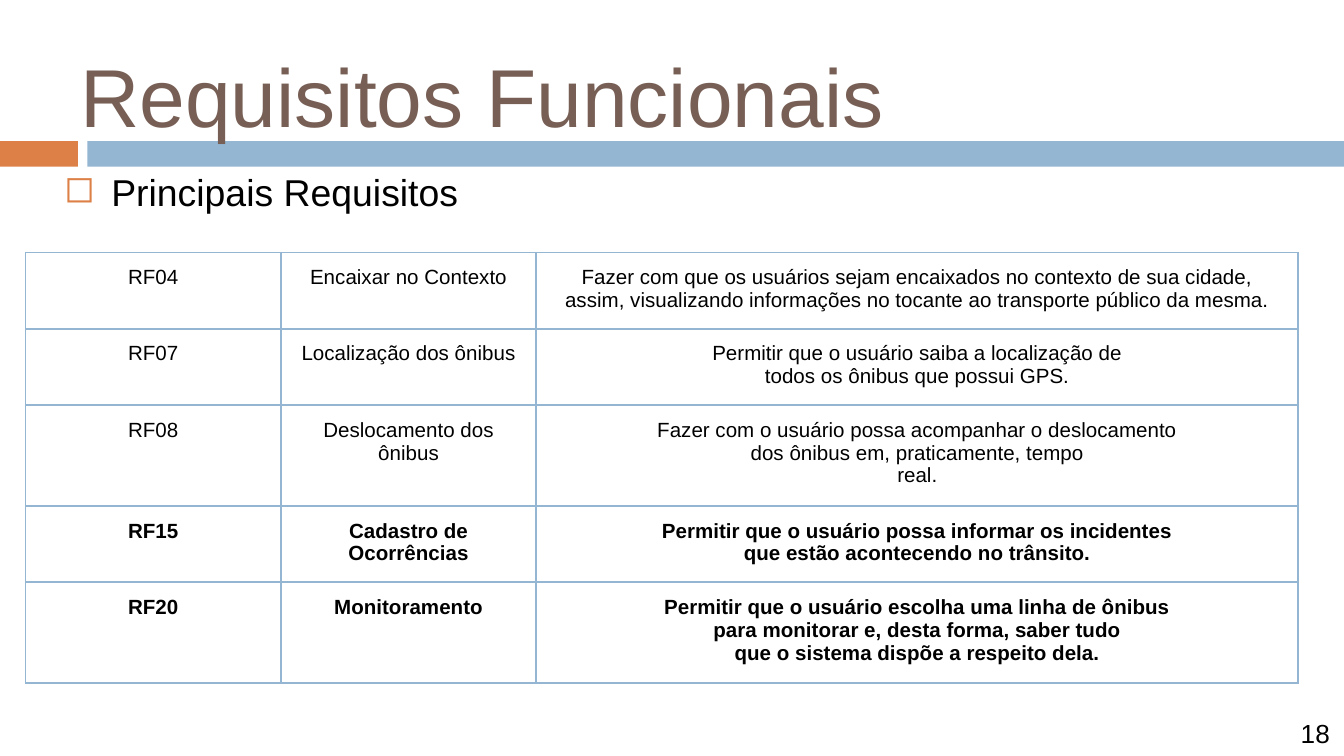
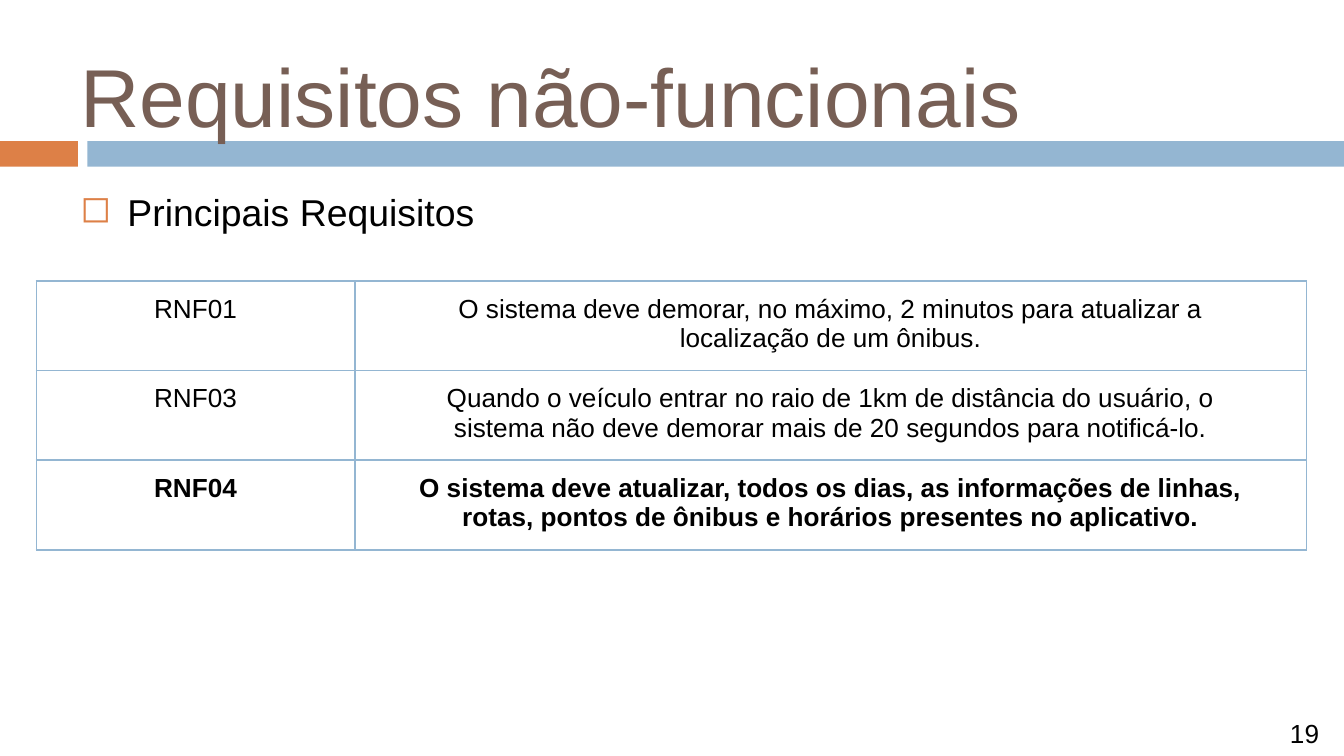
from lxml.etree import SubElement
from pptx import Presentation
from pptx.dml.color import RGBColor
from pptx.enum.shapes import MSO_SHAPE as Shape
from pptx.enum.text import MSO_ANCHOR as Anchor, PP_ALIGN as Align
from pptx.oxml.ns import qn
from pptx.util import Pt

PX = 4572  # 200 px to the inch
SLIDE_W, SLIDE_H = 2000, 1125
INSET = 20
ROW_H = 84
BULLET_INDENT = 70
BORDER_PT = 1

FONT = "Arial"
ORANGE = RGBColor(0xDD, 0x80, 0x47)
BLUE = RGBColor(0x94, 0xB6, 0xD2)
BROWN = RGBColor(0x77, 0x5F, 0x55)
BLACK = RGBColor(0, 0, 0)

BANDS = [((0, 210, 116, 38), ORANGE), ((130, 210, 1870, 38), BLUE)]
TITLE_BOX = (100, 46, 1800, 188)
SUBTITLE = "Principais Requisitos"

# Each line of a cell is a paragraph; rows whose code is in "bold" stand out.
SLIDES = [
    {
        "title": "Requisitos Funcionais",
        "subtitle_at": (76, 232),
        "table_at": (38, 376),
        "columns": [380, 380, 1134],
        "size": 11,
        "rows": [
            ("RF04", "Encaixar no Contexto",
             "Fazer com que os usuários sejam encaixados no contexto de sua cidade, "
             "assim, visualizando informações no tocante ao transporte público da mesma."),
            ("RF07", "Localização dos ônibus",
             "Permitir que o usuário saiba a localização de\n"
             "todos os ônibus que possui GPS."),
            ("RF08", "Deslocamento dos ônibus",
             "Fazer com o usuário possa acompanhar o deslocamento\n"
             "dos ônibus em, praticamente, tempo\n"
             "real."),
            ("RF15", "Cadastro de Ocorrências",
             "Permitir que o usuário possa informar os incidentes\n"
             "que estão acontecendo no trânsito."),
            ("RF20", "Monitoramento",
             "Permitir que o usuário escolha uma linha de ônibus\n"
             "para monitorar e, desta forma, saber tudo\n"
             "que o sistema dispõe a respeito dela."),
        ],
        "bold": {"RF15", "RF20"},
        "number": "18",
        "number_at": (1916, 1048),
    },
    {
        "title": "Requisitos não-funcionais",
        "subtitle_at": (100, 262),
        "table_at": (54, 418),
        "columns": [474, 1416],
        "size": 14,
        "rows": [
            ("RNF01",
             "O sistema deve demorar, no máximo, 2 minutos para atualizar a\n"
             "localização de um ônibus."),
            ("RNF03",
             "Quando o veículo entrar no raio de 1km de distância do usuário, o\n"
             "sistema não deve demorar mais de 20 segundos para notificá-lo."),
            ("RNF04",
             "O sistema deve atualizar, todos os dias, as informações de linhas,\n"
             "rotas, pontos de ônibus e horários presentes no aplicativo."),
        ],
        "bold": {"RNF04"},
        "number": "19",
        "number_at": (1900, 1048),
    },
]


def emu(*lengths):
    return [length * PX for length in lengths]


def set_insets(holder):
    holder.margin_left = holder.margin_right = INSET * PX
    holder.margin_top = holder.margin_bottom = INSET * PX


def add_run(paragraph, text, size, color=BLACK, bold=False):
    run = paragraph.add_run()
    run.text = text
    font = run.font
    font.name, font.size, font.bold = FONT, Pt(size), bold
    font.color.rgb = color


def add_text(slide, box, text, size, color=BLACK, anchor=Anchor.TOP):
    """Add a one-paragraph text box and return its paragraph."""
    frame = slide.shapes.add_textbox(*emu(*box)).text_frame
    frame.word_wrap = True
    frame.vertical_anchor = anchor
    set_insets(frame)
    paragraph = frame.paragraphs[0]
    add_run(paragraph, text, size, color)
    return paragraph


def add_bullet(paragraph):
    props = paragraph._p.get_or_add_pPr()
    props.set("marL", str(BULLET_INDENT * PX))
    props.set("indent", str(-BULLET_INDENT * PX))
    color = SubElement(props, qn("a:buClr"))
    SubElement(color, qn("a:srgbClr"), val=str(ORANGE))
    SubElement(props, qn("a:buChar"), char="◻")


def add_borders(cell):
    props = cell._tc.get_or_add_tcPr()
    for side in ("lnL", "lnR", "lnT", "lnB"):
        line = SubElement(props, qn(f"a:{side}"), w=str(Pt(BORDER_PT)))
        fill = SubElement(line, qn("a:solidFill"))
        SubElement(fill, qn("a:srgbClr"), val=str(BLUE))


def fill_cell(cell, text, size, bold):
    set_insets(cell)
    add_borders(cell)
    cell.fill.background()
    frame = cell.text_frame
    for index, line in enumerate(text.split("\n")):
        paragraph = frame.add_paragraph() if index else frame.paragraphs[0]
        paragraph.alignment = Align.CENTER
        add_run(paragraph, line, size, bold=bold)


def add_requirements(slide, content):
    rows, columns = content["rows"], content["columns"]
    box = (*content["table_at"], sum(columns), ROW_H * len(rows))
    table = slide.shapes.add_table(len(rows), len(columns), *emu(*box)).table
    table.first_row = table.horz_banding = False
    for column, width in zip(table.columns, columns):
        column.width = width * PX
    for row, texts in zip(table.rows, rows):
        row.height = ROW_H * PX
        for cell, text in zip(row.cells, texts):
            fill_cell(cell, text, content["size"], texts[0] in content["bold"])


def add_bands(slide):
    for box, color in BANDS:
        band = slide.shapes.add_shape(Shape.RECTANGLE, *emu(*box))
        band.shadow.inherit = False
        band.fill.solid()
        band.fill.fore_color.rgb = color
        band.line.fill.background()


def build_slide(deck, content):
    slide = deck.slides.add_slide(deck.slide_layouts[6])
    add_bands(slide)
    add_text(slide, TITLE_BOX, content["title"], 44, BROWN, Anchor.BOTTOM)
    add_requirements(slide, content)
    add_bullet(add_text(slide, (*content["subtitle_at"], 800, 114), SUBTITLE, 20))
    add_text(slide, (*content["number_at"], 100, 60), content["number"], 14)


def main():
    deck = Presentation()
    deck.slide_width, deck.slide_height = emu(SLIDE_W, SLIDE_H)
    for content in SLIDES:
        build_slide(deck, content)
    deck.save("out.pptx")


if __name__ == "__main__":
    main()
